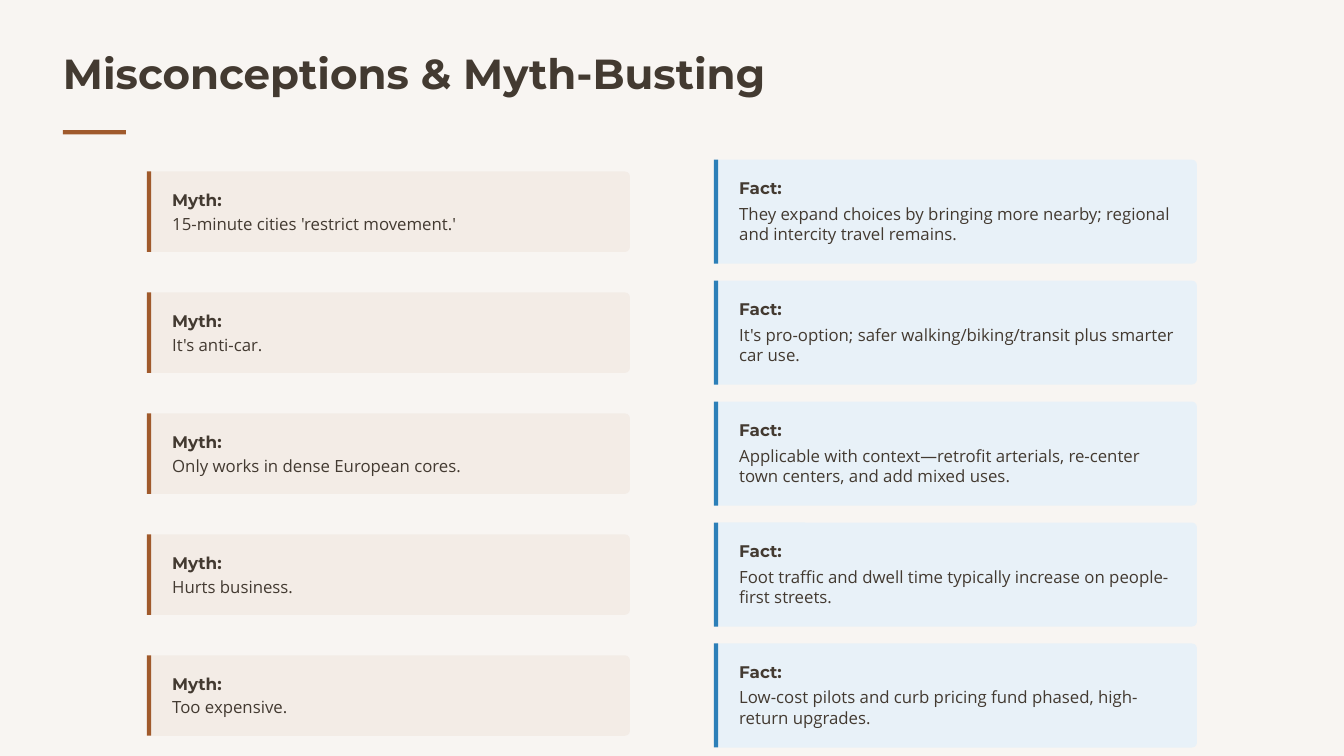
"""Build the myth and fact slide."""
from pptx import Presentation
from pptx import util as u
from pptx.dml import color
from pptx.enum import shapes, text

WIDTH, HEIGHT = 13.33, 7.5
COLUMN, ROW = WIDTH / 64, HEIGHT / 25
INK, PAPER, RUST, BLUE = "433A31", "F8F5F2", "A05A2C", "2C7FB8"
MYTH_FILL, FACT_FILL = "F3ECE6", "E8F1F8"
HEADING, BODY = "Montserrat", "Open Sans"
FIRST_CENTRE, PITCH = 7, 4
CARD_WIDTH, CORNER = 23, 0.05

PAIRS = [
    ("15-minute cities 'restrict movement.'",
     "They expand choices by bringing more nearby; regional and intercity travel remains."),
    ("It's anti-car.",
     "It's pro-option; safer walking/biking/transit plus smarter car use."),
    ("Only works in dense European cores.",
     "Applicable with context—retrofit arterials, re-center town centers, and add mixed uses."),
    ("Hurts business.",
     "Foot traffic and dwell time typically increase on people-first streets."),
    ("Too expensive.",
     "Low-cost pilots and curb pricing fund phased, high-return upgrades."),
]


def paint(fill, colour):
    """Fill with one solid hex colour."""
    fill.solid()
    fill.fore_color.rgb = color.RGBColor.from_string(colour)


def grid(left, top, width, height):
    """Turn columns and rows into lengths."""
    return (u.Inches(left * COLUMN), u.Inches(top * ROW),
            u.Inches(width * COLUMN), u.Inches(height * ROW))


def add_block(page, place, colour, kind=shapes.MSO_SHAPE.RECTANGLE):
    """Add a plain filled shape."""
    block = page.shapes.add_shape(kind, *grid(*place))
    block.shadow.inherit = False
    paint(block.fill, colour)
    block.line.fill.background()
    return block


def write(box, words, size, font, bold=False, leading=None):
    """Write one left-aligned paragraph in a box without insets."""
    frame = box.text_frame
    frame.word_wrap = True
    frame.auto_size = text.MSO_AUTO_SIZE.NONE
    frame.vertical_anchor = text.MSO_ANCHOR.MIDDLE
    frame.margin_left = frame.margin_right = frame.margin_top = frame.margin_bottom = 0
    para = frame.paragraphs[0]
    para.alignment = text.PP_ALIGN.LEFT
    if leading:
        para.line_spacing = u.Pt(leading)
    span = para.add_run()
    span.text = words
    span.font.size, span.font.name, span.font.bold = u.Pt(size), font, bold
    paint(span.font.fill, INK)


def add_title(page, words):
    """Place the title and the short rule under it."""
    title = page.shapes.title
    title.left, title.top, title.width, title.height = grid(3, 1.57, 50, 1.7)
    write(title, words, 30, HEADING, bold=True)
    add_block(page, (3, 4.3, 3, 0.14), RUST)


def add_card(page, left, centre, lines, label, words, colour, accent):
    """Add a card with an accent bar, a label and its statement."""
    body_height = 0.78 * lines
    height = 1.88 + body_height
    top = centre - height / 2
    card = add_block(page, (left, top, CARD_WIDTH, height), colour,
                     shapes.MSO_SHAPE.ROUNDED_RECTANGLE)
    card.adjustments[0] = CORNER / (height * ROW)
    add_block(page, (left, top, 0.2, height), accent)
    label_box = page.shapes.add_textbox(*grid(left + 1.2, top + 0.6, 4, 0.67))
    write(label_box, label, 12, HEADING, bold=True)
    body_box = page.shapes.add_textbox(*grid(left + 1.2, top + 1.33, 20.9, body_height))
    write(body_box, words, 12, BODY, leading=14.4)


def main():
    """Build and save the deck."""
    deck = Presentation()
    deck.slide_width, deck.slide_height = u.Inches(WIDTH), u.Inches(HEIGHT)
    page = deck.slides.add_slide(deck.slide_layouts.get_by_name("Title Only"))
    paint(page.background.fill, PAPER)
    add_title(page, "Misconceptions & Myth-Busting")
    for index, (myth, fact) in enumerate(PAIRS):
        centre = FIRST_CENTRE + index * PITCH
        add_card(page, 7, centre, 1, "Myth:", myth, MYTH_FILL, RUST)
        add_card(page, 34, centre, 2, "Fact:", fact, FACT_FILL, BLUE)
    deck.save("out.pptx")


if __name__ == "__main__":
    main()
